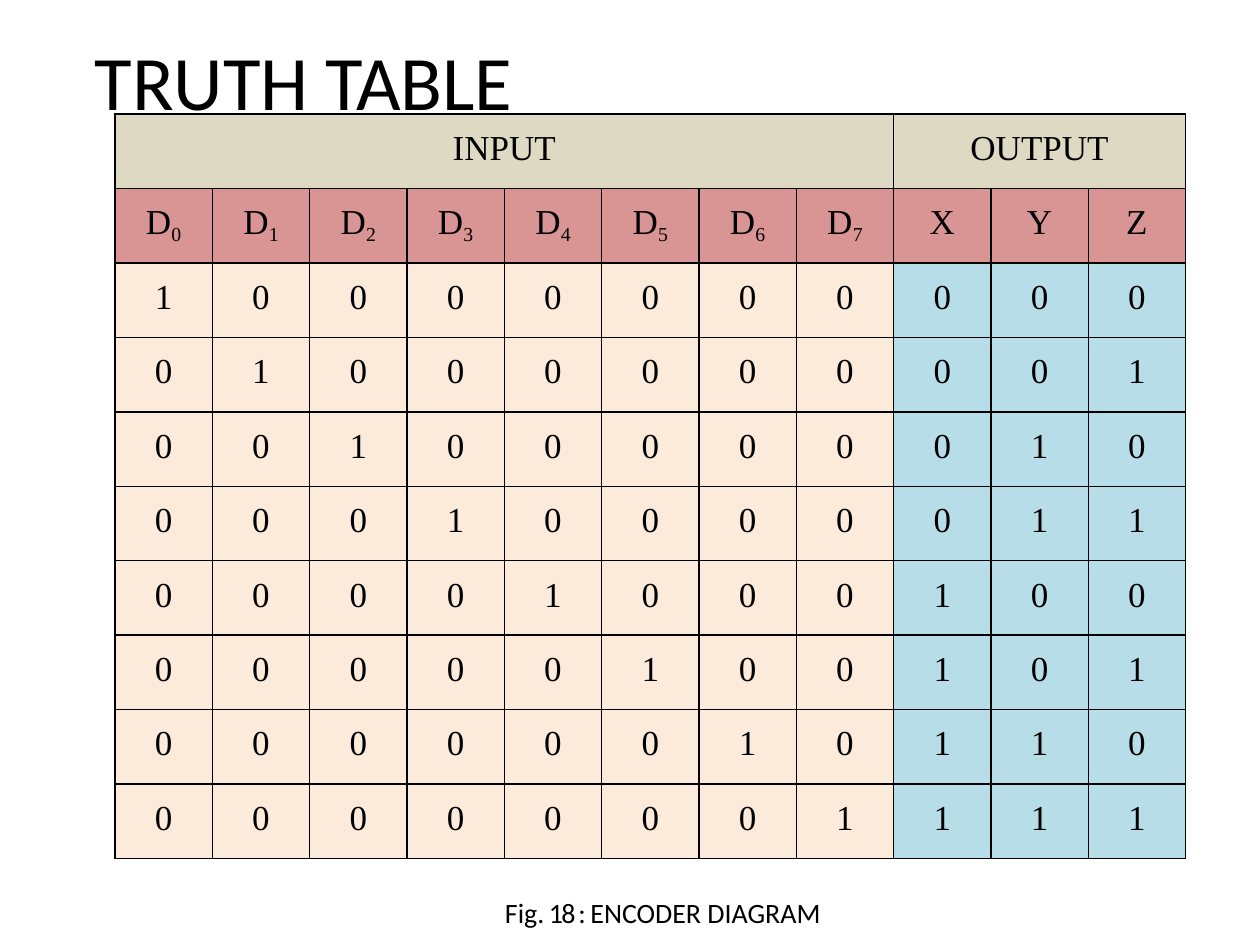
from lxml import etree
from pptx import Presentation
from pptx import util as u
from pptx.dml.color import RGBColor
from pptx.enum import text as t
from pptx.oxml import ns

# Content
TITLE = [("TRUTH ", {"gap": -10}), ("TABLE", {"gap": -30})]
CAPTION = [("Fig.", {}), (" 18 : ", {"gap": -100}), ("ENCODER DIAGRAM", {})]
GROUPS = [("INPUT", 8), ("OUTPUT", 3)]
HEADS = [[("D", {"gap": 10}), (str(n), {"base": -21000, "size": 19.5})]
         for n in range(8)] + ["X", "Y", "Z"]
ROWS = [
    "10000000 000",
    "01000000 001",
    "00100000 010",
    "00010000 011",
    "00001000 100",
    "00000100 101",
    "00000010 110",
    "00000001 111",
]

# Look, with lengths in px
HUES = {"ink": "000000", "group": "DDD9C3", "head": "D99593",
        "input": "FCEADA", "output": "B7DEE8"}
SIZE = (1260, 945)
TITLE_BOX = (95, 32, 735, 95)
GRID_BOX = (115, 114, 1071, 745)
CAPTION_BOX = (505, 852, 408, 77)
CELL_TOP = 15


def px(n):
    return u.Emu(round(n * 914400 / 126))


def write(frame, parts, font="Calibri", size=20, align=t.PP_ALIGN.LEFT):
    """Fill a frame with one paragraph of (text, format) parts."""
    if isinstance(parts, str):
        parts = [(parts, {})]
    para = frame.paragraphs[0]
    para.alignment = align
    for words, form in parts:
        run = para.add_run()
        run.text = words
        run.font.name = font
        run.font.size = u.Pt(form.get("size", size))
        run.font.color.rgb = RGBColor.from_string(HUES["ink"])
        props = run.font._element
        if "gap" in form:
            props.set("spc", str(form["gap"]))
        if "base" in form:
            props.set("baseline", str(form["base"]))


def trim(box, top=0):
    box.margin_left = box.margin_right = box.margin_bottom = 0
    box.margin_top = px(top)


def edge(cell):
    """Draw a thin line on all four sides, ahead of the fill."""
    props = cell._tc.get_or_add_tcPr()
    for spot, side in enumerate(("lnL", "lnR", "lnT", "lnB")):
        line = etree.Element(ns.qn("a:" + side), w=str(u.Pt(1)))
        fill = etree.SubElement(line, ns.qn("a:solidFill"))
        etree.SubElement(fill, ns.qn("a:srgbClr"), val=HUES["ink"])
        props.insert(spot, line)


def style(cell, hue):
    cell.fill.solid()
    cell.fill.fore_color.rgb = RGBColor.from_string(HUES[hue])
    trim(cell, CELL_TOP)
    edge(cell)


def put(cell, parts):
    write(cell.text_frame, parts, font="Times New Roman",
          align=t.PP_ALIGN.CENTER)


def main():
    deck = Presentation()
    deck.slide_width, deck.slide_height = map(px, SIZE)
    slide = deck.slides.add_slide(deck.slide_layouts[5])

    # Title
    title = slide.shapes.title
    title.left, title.top, title.width, title.height = map(px, TITLE_BOX)
    frame = title.text_frame
    trim(frame, 1)
    frame.auto_size = t.MSO_AUTO_SIZE.SHAPE_TO_FIT_TEXT
    frame.vertical_anchor = t.MSO_ANCHOR.MIDDLE
    write(frame, TITLE, size=44)

    # Table grid
    cols, rows = len(HEADS), len(ROWS) + 2
    grid = slide.shapes.add_table(rows, cols, *map(px, GRID_BOX)).table
    for col in grid.columns:
        col.width = px(GRID_BOX[2] / cols)
    for row in grid.rows:
        row.height = px(GRID_BOX[3] / rows)

    # Group row
    first = 0
    for name, span in GROUPS:
        for c in range(first, first + span):
            style(grid.cell(0, c), "group")
        grid.cell(0, first).merge(grid.cell(0, first + span - 1))
        put(grid.cell(0, first), name)
        first += span

    # Heads and values
    body = [list(bits.replace(" ", "")) for bits in ROWS]
    for r, line in enumerate([HEADS] + body, 1):
        for c, parts in enumerate(line):
            hue = "head" if r == 1 else "input" if c < 8 else "output"
            style(grid.cell(r, c), hue)
            put(grid.cell(r, c), parts)

    # Caption
    frame = slide.shapes.add_textbox(*map(px, CAPTION_BOX)).text_frame
    frame.word_wrap = True
    frame.vertical_anchor = t.MSO_ANCHOR.BOTTOM
    trim(frame)
    write(frame, CAPTION, size=16)

    deck.save("out.pptx")


if __name__ == "__main__":
    main()
